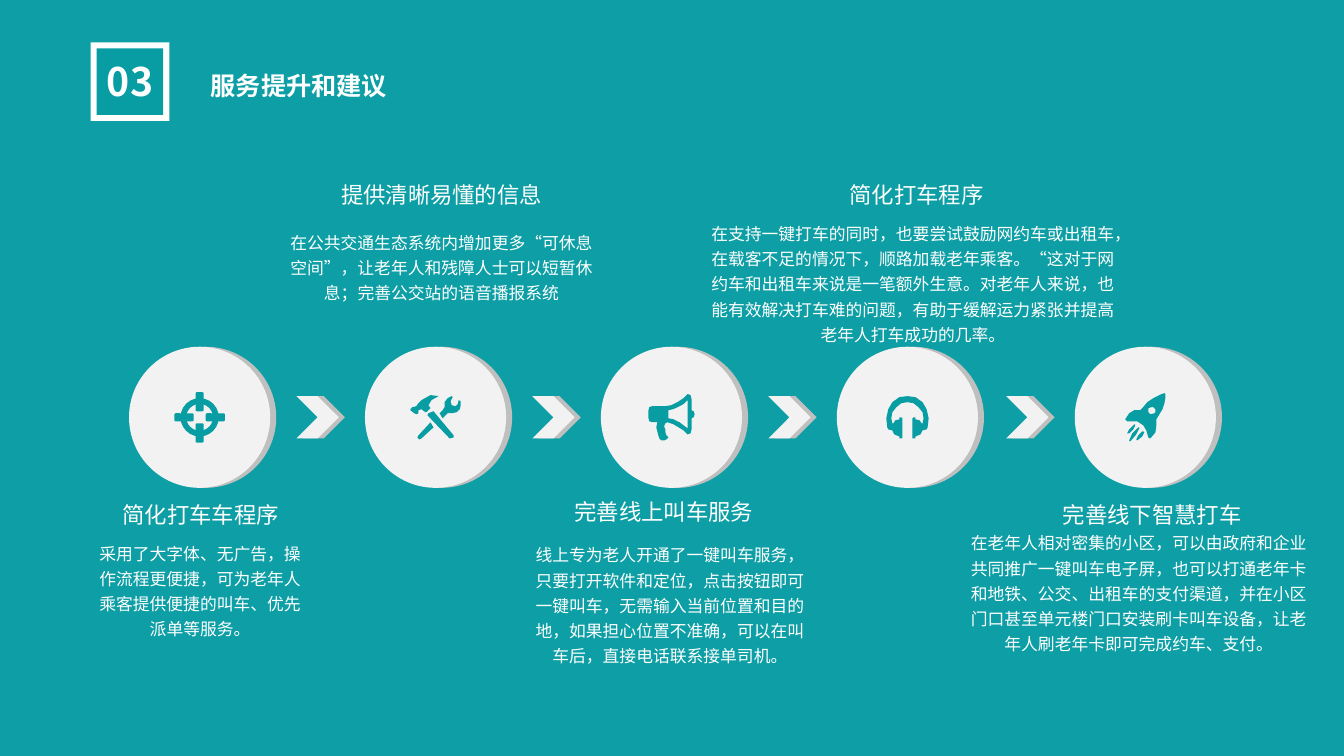
from lxml import etree
from pptx import Presentation
from pptx.dml.color import RGBColor
from pptx.enum.shapes import MSO_SHAPE
from pptx.enum.text import MSO_ANCHOR, MSO_AUTO_SIZE, PP_ALIGN
from pptx.oxml.ns import qn
from pptx.util import Inches, Pt

RECT, ROUND = MSO_SHAPE.RECTANGLE, MSO_SHAPE.ROUNDED_RECTANGLE
OVAL, CHEVRON, DONUT = MSO_SHAPE.OVAL, MSO_SHAPE.CHEVRON, MSO_SHAPE.DONUT
CENTER, LEFT = PP_ALIGN.CENTER, PP_ALIGN.LEFT
TOP, FIXED = MSO_ANCHOR.TOP, MSO_AUTO_SIZE.NONE

FONT = "Noto Sans CJK SC"
TEAL, BACK, WHITE, LIGHT, SHADE = "089DA3", "0D9FA5", "FFFFFF", "F2F2F2", "BFBFBF"

ROW, SIZE = 3.44, 1.4
DISCS = [1.28, 3.62, 5.96, 8.3, 10.66]

TOOLS = [
    [(53, 63), (56, 62), (60, 65), (61, 65), (65, 61), (63, 58), (66, 53), (73, 49), (65, 48),
     (56, 53), (53, 56), (51, 59), (47, 60), (45, 62), (45, 63), (49, 66), (51, 67), (53, 66)],
    [(68, 64), (63, 66), (62, 68), (84, 91), (88, 90), (88, 88)],
    [(95, 54), (93, 53), (92, 57), (90, 59), (86, 58), (85, 54), (87, 50), (86, 49), (82, 51),
     (79, 55), (79, 60), (77, 63), (74, 66), (77, 71), (82, 66), (86, 66), (91, 65), (94, 62), (95, 58)],
    [(53, 88), (52, 90), (54, 92), (56, 91), (68, 80), (65, 75)],
]
HORN = [
    [(93, 67), (92, 70), (90, 71), (90, 82), (89, 86), (86, 87), (82, 83), (77, 80), (72, 77), (66, 75),
     (64, 76), (63, 78), (63, 80), (64, 82), (64, 85), (65, 88), (67, 90), (65, 92), (63, 93), (60, 93),
     (58, 91), (57, 88), (56, 84), (55, 80), (56, 75), (51, 75), (48, 74), (47, 70), (47, 64), (48, 60),
     (51, 59), (64, 59), (70, 58), (76, 55), (82, 51), (86, 47), (89, 48), (90, 52), (90, 63), (92, 64)],
    [(86, 53), (82, 57), (78, 59), (72, 62), (67, 63), (67, 71), (72, 72), (78, 75), (82, 78), (86, 81)],
]
HALF = [(70, 49), (78, 50), (85, 55), (89, 62), (91, 71), (90, 80), (89, 82), (85, 83), (83, 87), (78, 89),
        (78, 91), (75, 91), (75, 71), (76, 70), (78, 70), (78, 72), (82, 73), (84, 76), (85, 76), (86, 71),
        (85, 65), (81, 60), (76, 56), (70, 55)]
PHONES = [HALF + [(140 - x, y) for x, y in reversed(HALF)]]
ROCKET = [
    [(89, 46), (90, 47), (90, 50), (89, 56), (87, 62), (81, 72), (81, 78), (80, 85), (75, 91), (73, 90),
     (71, 83), (68, 78), (62, 74), (52, 74), (50, 72), (54, 66), (59, 63), (65, 63), (67, 61), (72, 55),
     (78, 51), (86, 47)],
    [(76, 60), (73, 61), (73, 65), (75, 67), (79, 66), (80, 65), (80, 62), (78, 60)],
    [(68, 84), (69, 85), (67, 89), (62, 93), (61, 92), (63, 88), (67, 84)],
    [(64, 80), (64, 81), (61, 87), (55, 94), (54, 93), (57, 86), (63, 80)],
    [(60, 77), (60, 78), (58, 82), (54, 86), (52, 86), (54, 82), (59, 77)],
]
ICONS = [TOOLS, HORN, PHONES, ROCKET]

STEPS = [
    ("简化打车车程序", (0.9, 4.92, 2.18, 0.37),
     "采用了大字体、无广告，操作流程更便捷，可为老年人乘客提供便捷的叫车、优先派单等服务。",
     (0.88, 5.29, 2.21, 1.11)),
    ("提供清晰易懂的信息", (3.22, 1.75, 2.32, 0.37),
     "在公共交通生态系统内增加更多“可休息空间”，让老年人和残障人士可以短暂休息；完善公交站的语音播报系统",
     (2.71, 2.21, 3.34, 0.86)),
    ("完善线上叫车服务", (5.34, 4.89, 2.49, 0.37),
     "线上专为老人开通了一键叫车服务，只要打开软件和定位，点击按钮即可一键叫车，"
     "无需输入当前位置和目的地，如果担心位置不准确，可以在叫车后，直接电话联系接单司机。",
     (5.19, 5.31, 2.91, 1.36)),
    ("简化打车程序", (7.82, 1.75, 2.54, 0.37),
     "在支持一键打车的同时，也要尝试鼓励网约车或出租车，在载客不足的情况下，顺路加载老年乘客。"
     "“这对于网约车和出租车来说是一笔额外生意。对老年人来说，也能有效解决打车难的问题，"
     "有助于缓解运力紧张并提高老年人打车成功的几率。",
     (6.92, 2.12, 4.27, 1.34)),
    ("完善线下智慧打车", (10.28, 4.92, 2.3, 0.37),
     "在老年人相对密集的小区，可以由政府和企业共同推广一键叫车电子屏，也可以打通老年卡和地铁、"
     "公交、出租车的支付渠道，并在小区门口甚至单元楼门口安装刷卡叫车设备，让老年人刷老年卡即可完成约车、支付。",
     (9.45, 5.19, 3.69, 1.36)),
]


def color(text):
    return RGBColor.from_string(text)


def paint(shape, fill):
    shape.shadow.inherit = False
    shape.fill.solid()
    shape.fill.fore_color.rgb = color(fill)
    shape.line.fill.background()


def block(slide, kind, box, fill):
    shape = slide.shapes.add_shape(kind, *map(Inches, box))
    paint(shape, fill)
    return shape


def write(shape, text, size, bold=False, align=CENTER, space=1.0):
    frame = shape.text_frame
    frame.text = text
    para = frame.paragraphs[0]
    run = para.runs[0]
    formats = [
        (frame, {"word_wrap": True, "auto_size": FIXED, "vertical_anchor": TOP}),
        (para, {"alignment": align, "line_spacing": space}),
        (run.font, {"name": FONT, "size": Pt(size), "bold": bold}),
    ]
    for item, values in formats:
        for name, value in values.items():
            setattr(item, name, value)
    run.font.color.rgb = color(WHITE)
    etree.SubElement(run.font._element, qn("a:ea"), typeface=FONT)


def label(slide, box, text, size, **style):
    write(slide.shapes.add_textbox(*map(Inches, box)), text, size, **style)


def relief(slide, kind, left, top, size):
    for shift, fill in ((0.06, SHADE), (0, LIGHT)):
        block(slide, kind, (left + shift, top, size, size), fill)


def icon(slide, left, rings):
    build = slide.shapes.build_freeform(*rings[0][0], scale=Inches(0.01))
    build.add_line_segments(rings[0][1:])
    for ring in rings[1:]:
        build.move_to(*ring[0])
        build.add_line_segments(ring[1:])
    paint(build.convert_to_shape(Inches(left), Inches(ROW)), TEAL)


def target(slide, left):
    x, y = left + SIZE / 2, ROW + SIZE / 2
    ring = block(slide, DONUT, (x - 0.19, y - 0.19, 0.38, 0.38), TEAL)
    ring.adjustments[0] = 0.15
    for start in (-0.25, 0.06):
        block(slide, ROUND, (x + start, y - 0.04, 0.19, 0.08), TEAL)
        block(slide, ROUND, (x - 0.04, y + start, 0.08, 0.19), TEAL)


def header(slide):
    block(slide, RECT, (0.9, 0.42, 0.78, 0.78), WHITE)
    block(slide, RECT, (0.96, 0.48, 0.66, 0.66), TEAL)
    label(slide, (0.93, 0.52, 0.72, 0.57), "03", 28, bold=True)
    title = slide.shapes.title
    place = {"left": 1.99, "top": 0.35, "width": 2.2, "height": 1.31}
    for name, value in place.items():
        setattr(title, name, Inches(value))
    write(title, "服务提升和建议", 18, bold=True, align=LEFT, space=2.0)


def main():
    deck = Presentation()
    deck.slide_width, deck.slide_height = Inches(13.33), Inches(7.5)
    slide = deck.slides.add_slide(deck.slide_layouts[5])
    slide.background.fill.solid()
    slide.background.fill.fore_color.rgb = color(BACK)
    header(slide)
    for left in DISCS:
        relief(slide, OVAL, left, ROW, SIZE)
    for left in DISCS[1:]:
        relief(slide, CHEVRON, left - 0.68, 3.93, 0.42)
    target(slide, DISCS[0])
    for left, rings in zip(DISCS[1:], ICONS):
        icon(slide, left, rings)
    for head, spot, body, box in STEPS:
        label(slide, spot, head, 16)
        label(slide, box, body, 12, space=1.25)
    deck.save("out.pptx")


if __name__ == "__main__":
    main()
